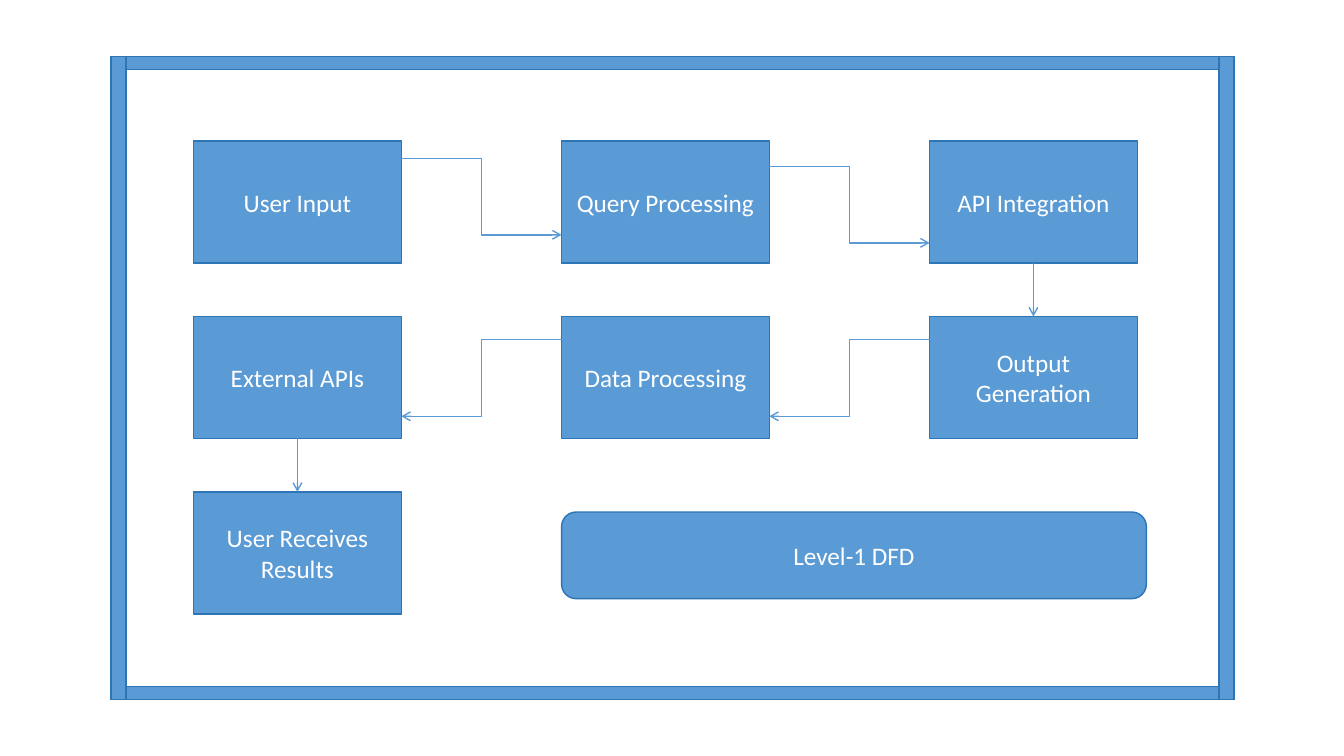
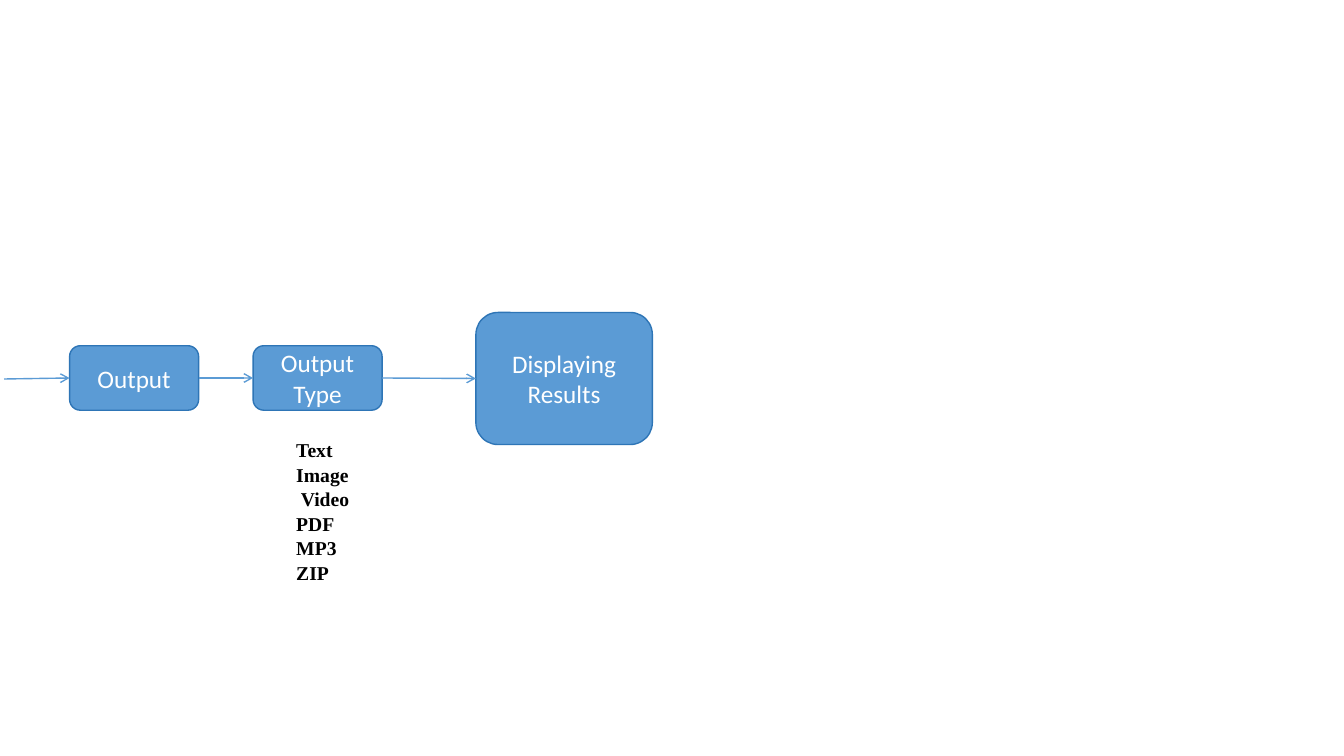
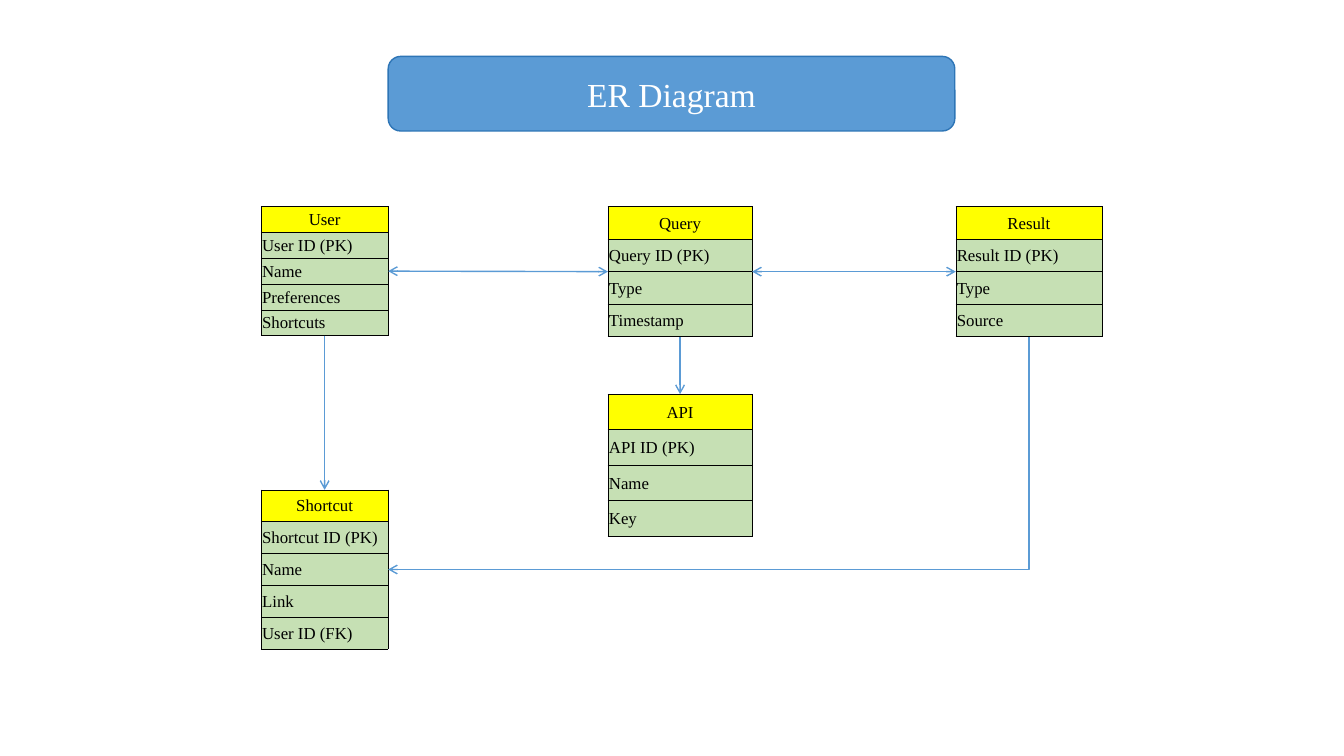
from dataclasses import dataclass

from lxml import etree
from pptx import Presentation
from pptx.dml.color import RGBColor
from pptx.enum import shapes, text
from pptx.oxml import ns
from pptx.util import Inches, Pt


@dataclass(frozen=True)
class Theme:
    blue: str = "5B9BD5"
    outline: str = "2E75B6"
    white: str = "FFFFFF"
    black: str = "000000"
    header: str = "FFFF00"
    field: str = "C6E0B4"
    sans: str = "Calibri"
    serif: str = "Times New Roman"
    title_size: int = 24
    body_size: int = 18
    list_size: int = 14
    table_size: int = 12
    line_width: float = 1
    border_width: float = 0.5


THEME = Theme()
RECTANGLE = shapes.MSO_SHAPE.RECTANGLE
ROUNDED = shapes.MSO_SHAPE.ROUNDED_RECTANGLE
PROCESS = shapes.MSO_SHAPE.FLOWCHART_ALTERNATE_PROCESS
STRAIGHT = shapes.MSO_CONNECTOR.STRAIGHT
ELBOW = shapes.MSO_CONNECTOR.ELBOW
TOP, LEFT, BOTTOM, RIGHT = range(4)

# Level-1 data flow: name -> (column, row) in a grid
GRID_LEFT, GRID_TOP = 1.92, 1.4
COLUMN_STEP, ROW_STEP = 3.65, 1.74
BOX_WIDTH, BOX_HEIGHT = 2.06, 1.21
FLOW_BOXES = {
    "User Input": (0, 0),
    "Query Processing": (1, 0),
    "API Integration": (2, 0),
    "Output Generation": (2, 1),
    "Data Processing": (1, 1),
    "External APIs": (0, 1),
    "User Receives Results": (0, 2),
}
# Source, target, distance of the start below the top of the source
FLOW_ELBOWS = [
    ("User Input", "Query Processing", 0.17),
    ("Query Processing", "API Integration", 0.25),
    ("Output Generation", "Data Processing", 0.23),
    ("Data Processing", "External APIs", 0.23),
]
ELBOW_DROP = 0.76
FLOW_DOWN = [
    ("API Integration", "Output Generation"),
    ("External APIs", "User Receives Results"),
]
FRAME = (1.1, 0.56, 11.14, 6.38)
BAR_HEIGHT, BAR_WIDTH = 0.13, 0.15
FLOW_CAPTION = ("Level-1 DFD", (5.57, 5.08, 5.8, 0.86))

# Output chain
OUTPUT_STEPS = [
    ("Output", PROCESS, (0.69, 3.43, 1.28, 0.64)),
    ("Output Type", PROCESS, (2.51, 3.43, 1.28, 0.64)),
    ("Displaying Results", ROUNDED, (4.72, 3.1, 1.75, 1.31)),
]
ENTRY_POINT = (0.04, 3.76)
OUTPUT_TYPES = ["Text", "Image", " Video", "PDF", "MP3", "ZIP"]
OUTPUT_TYPES_AREA = (2.84, 4.29, 0.77, 0.9)

# Entities: name -> (area, fields)
ER_TITLE = ("ER Diagram", (3.85, 0.56, 5.62, 0.74))
ENTITIES = {
    "User": ((2.59, 2.05, 1.26, 1.28),
             ["User ID (PK)", "Name", "Preferences", "Shortcuts"]),
    "Query": ((6.03, 2.05, 1.43, 1.29),
              ["Query ID (PK)", "Type", "Timestamp"]),
    "Result": ((9.48, 2.05, 1.45, 1.29),
               ["Result ID (PK)", "Type", "Source"]),
    "API": ((6.03, 3.91, 1.43, 1.41), ["API ID (PK)", "Name", "Key"]),
    "Shortcut": ((2.59, 4.86, 1.26, 1.58),
                 ["Shortcut ID (PK)", "Name", "Link", "User ID (FK)"]),
}
SIDE_LINKS = [("User", "Query"), ("Query", "Result")]
DOWN_LINKS = [("User", "Shortcut"), ("Query", "API")]


# Shared helpers
def inches(values):
    return [Inches(value) for value in values]


def side(area, index):
    """Middle of one side of an area."""
    left, top, width, height = area
    return {
        TOP: (left + width / 2, top),
        LEFT: (left, top + height / 2),
        BOTTOM: (left + width / 2, top + height),
        RIGHT: (left + width, top + height / 2),
    }[index]


def style_font(font, size, name, color, bold=False):
    font.size, font.name, font.bold = Pt(size), name, bold
    font.color.rgb = RGBColor.from_string(color)


def add_box(slide, kind, area, label="", size=THEME.body_size, name=THEME.sans):
    shape = slide.shapes.add_shape(kind, *inches(area))
    shape.shadow.inherit = False
    shape.fill.solid()
    shape.fill.fore_color.rgb = RGBColor.from_string(THEME.blue)
    shape.line.color.rgb = RGBColor.from_string(THEME.outline)
    shape.line.width = Pt(THEME.line_width)
    if label:
        shape.text_frame.text = label
        shape.text_frame.vertical_anchor = text.MSO_ANCHOR.MIDDLE
        paragraph = shape.text_frame.paragraphs[0]
        paragraph.alignment = text.PP_ALIGN.CENTER
        style_font(paragraph.font, size, name, THEME.white)
    return shape


def add_arrow(slide, start, end, kind=STRAIGHT, ends=("tailEnd",)):
    connector = slide.shapes.add_connector(kind, *inches(start + end))
    connector.line.color.rgb = RGBColor.from_string(THEME.blue)
    connector.line.width = Pt(THEME.line_width)
    line = connector.line._get_or_add_ln()
    for tag in ends:
        etree.SubElement(line, ns.qn("a:" + tag), type="arrow")
    etree.SubElement(connector.element.spPr, ns.qn("a:effectLst"))
    return connector


def join(slide, source, source_side, target, target_side):
    connector = add_arrow(slide, (0, 0), (0, 0))
    connector.begin_connect(source, source_side)
    connector.end_connect(target, target_side)


def add_borders(cell):
    properties = cell._tc.get_or_add_tcPr()
    for position, tag in enumerate(("lnL", "lnR", "lnT", "lnB")):
        line = etree.Element(ns.qn("a:" + tag), w=str(Pt(THEME.border_width)))
        fill = etree.SubElement(line, ns.qn("a:solidFill"))
        etree.SubElement(fill, ns.qn("a:srgbClr"), val=THEME.black)
        properties.insert(position, line)


def add_entity(slide, name, area, fields):
    labels = [name] + fields
    table = slide.shapes.add_table(len(labels), 1, *inches(area)).table
    table.first_row = table.horz_banding = False
    for index, label in enumerate(labels):
        table.rows[index].height = Inches(area[3] / len(labels))
        cell = table.cell(index, 0)
        cell.text = label
        cell.vertical_anchor = text.MSO_ANCHOR.MIDDLE
        cell.margin_left = cell.margin_right = cell.margin_top = Inches(0.01)
        cell.margin_bottom = 0
        cell.fill.solid()
        color = THEME.field if index else THEME.header
        cell.fill.fore_color.rgb = RGBColor.from_string(color)
        add_borders(cell)
        paragraph = cell.text_frame.paragraphs[0]
        paragraph.alignment = text.PP_ALIGN.LEFT if index else text.PP_ALIGN.CENTER
        style_font(paragraph.font, THEME.table_size, THEME.serif, THEME.black)


# Slides
def build_data_flow(slide):
    areas = {
        name: (GRID_LEFT + column * COLUMN_STEP, GRID_TOP + row * ROW_STEP,
               BOX_WIDTH, BOX_HEIGHT)
        for name, (column, row) in FLOW_BOXES.items()
    }
    boxes = {name: add_box(slide, RECTANGLE, area, name)
             for name, area in areas.items()}

    # Frame: top and bottom bars, then the two sides
    left, top, width, height = FRAME
    for bar_top in (top, top + height - BAR_HEIGHT):
        add_box(slide, RECTANGLE, (left, bar_top, width, BAR_HEIGHT))
    for bar_left in (left, left + width - BAR_WIDTH):
        add_box(slide, RECTANGLE, (bar_left, top, BAR_WIDTH, height))
    caption, caption_area = FLOW_CAPTION
    add_box(slide, PROCESS, caption_area, caption)

    for source, target, offset in FLOW_ELBOWS:
        rightward = areas[source][0] < areas[target][0]
        exit_side, entry_side = (RIGHT, LEFT) if rightward else (LEFT, RIGHT)
        start_y = areas[source][1] + offset
        add_arrow(slide, (side(areas[source], exit_side)[0], start_y),
                  (side(areas[target], entry_side)[0], start_y + ELBOW_DROP), ELBOW)
    for source, target in FLOW_DOWN:
        join(slide, boxes[source], BOTTOM, boxes[target], TOP)


def build_output(slide):
    steps = [add_box(slide, kind, area, label) for label, kind, area in OUTPUT_STEPS]

    text_box = slide.shapes.add_textbox(*inches(OUTPUT_TYPES_AREA))
    text_box.text_frame.word_wrap = True
    text_box.text_frame.text = "\n".join(OUTPUT_TYPES)
    for paragraph in text_box.text_frame.paragraphs:
        paragraph.line_spacing = 1.04
        style_font(paragraph.font, THEME.list_size, THEME.serif, THEME.black, True)

    entry = add_arrow(slide, ENTRY_POINT, side(OUTPUT_STEPS[0][2], LEFT))
    entry.end_connect(steps[0], LEFT)
    for source, target in zip(steps, steps[1:]):
        join(slide, source, RIGHT, target, LEFT)


def build_entities(slide):
    for name, (area, fields) in ENTITIES.items():
        add_entity(slide, name, area, fields)
    title, title_area = ER_TITLE
    add_box(slide, ROUNDED, title_area, title, THEME.title_size, THEME.serif)

    areas = {name: area for name, (area, _) in ENTITIES.items()}
    for source, target in SIDE_LINKS:
        add_arrow(slide, side(areas[source], RIGHT), side(areas[target], LEFT),
                  ends=("headEnd", "tailEnd"))
    # Single-bend link, drawn from Shortcut up to Result
    bend = add_arrow(slide, side(areas["Shortcut"], RIGHT),
                     side(areas["Result"], BOTTOM), ELBOW, ("headEnd",))
    bend.element.spPr.find(ns.qn("a:prstGeom")).set("prst", "bentConnector2")
    for source, target in DOWN_LINKS:
        add_arrow(slide, side(areas[source], BOTTOM), side(areas[target], TOP))


def main():
    presentation = Presentation()
    presentation.slide_width, presentation.slide_height = inches((13.33, 7.5))
    for build in (build_data_flow, build_output, build_entities):
        build(presentation.slides.add_slide(presentation.slide_layouts[6]))
    presentation.save("out.pptx")


if __name__ == "__main__":
    main()
